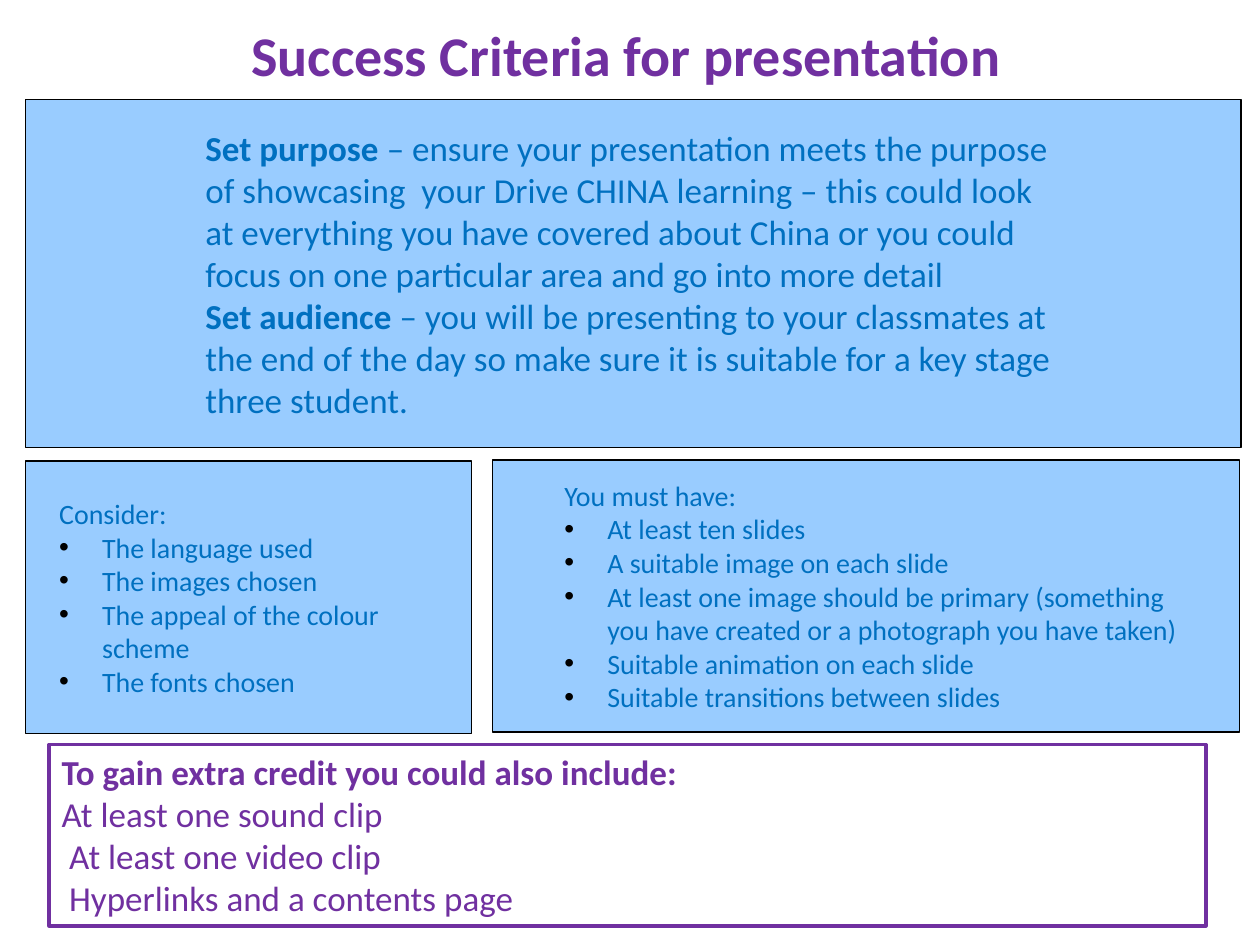
import pptx
import pptx.dml.color
import pptx.enum.shapes
import pptx.enum.text
import pptx.oxml.ns
import pptx.util
from lxml import etree

Inches = pptx.util.Inches
PURPLE, BLUE, PALE_BLUE, BLACK = "7030A0", "0070C0", "99CCFF", "000000"
FONT = "Calibri"
BULLET_INDENT = 0.34

TITLE = "Success Criteria for presentation"
AIMS = [
    ("Set purpose ", "– ensure your presentation meets the purpose of showcasing  your "
     "Drive CHINA learning – this could look at everything you have covered about China "
     "or you could focus on one particular area and go into more detail"),
    ("Set audience ", "– you will be presenting to your classmates at the end of the day "
     "so make sure it is suitable for a key stage three student."),
]
# Each list: box (left, top, width, height), left inset, heading, items
LISTS = [
    ((0.2, 3.66, 3.54, 2.16), 0.27, "Consider:", [
        "The language used",
        "The images chosen",
        "The appeal of the colour scheme",
        "The fonts chosen",
    ]),
    ((3.91, 3.65, 5.93, 2.16), 0.57, "You must have:", [
        "At least ten slides",
        "A suitable image on each slide",
        "At least one image should be primary (something you have created "
        "or a photograph you have taken)",
        "Suitable animation on each slide",
        "Suitable transitions between slides",
    ]),
]
EXTRA_HEADING = "To gain extra credit you could also include:"
# Each line: left margin, text
EXTRAS = [
    (0, "At least one sound clip"),
    (0.06, "At least one video clip"),
    (0.06, "Hyperlinks and a contents page"),
]


def rgb(value):
    return pptx.dml.color.RGBColor.from_string(value)


def place(shape, box):
    shape.left, shape.top, shape.width, shape.height = map(Inches, box)


def style_box(shape, line, line_width, fill=None):
    if fill:
        shape.fill.solid()
        shape.fill.fore_color.rgb = rgb(fill)
    else:
        shape.fill.background()
    shape.line.color.rgb = rgb(line)
    shape.line.width = pptx.util.Pt(line_width)


def set_frame(shape, left=0.1, right=0.1, middle=True):
    frame = shape.text_frame
    frame.word_wrap = True
    frame.auto_size = pptx.enum.text.MSO_AUTO_SIZE.NONE
    anchor = pptx.enum.text.MSO_ANCHOR
    frame.vertical_anchor = anchor.MIDDLE if middle else anchor.TOP
    frame.margin_left, frame.margin_right = Inches(left), Inches(right)
    frame.margin_top = frame.margin_bottom = Inches(0.05)
    return frame


def add_paragraph(frame, first, size, color, bold=False, text="", margin=0, bullet=False):
    """Write the next paragraph; the first one reuses the paragraph already there."""
    paragraph = frame.paragraphs[0] if first else frame.add_paragraph()
    properties = paragraph._p.get_or_add_pPr()
    properties.set("marL", str(Inches(margin)))
    properties.set("indent", str(-Inches(margin) if bullet else 0))
    qn = pptx.oxml.ns.qn
    if bullet:
        bullet_color = etree.SubElement(properties, qn("a:buClr"))
        etree.SubElement(bullet_color, qn("a:srgbClr"), val=BLACK)
        etree.SubElement(properties, qn("a:buFont"), typeface="Arial")
        etree.SubElement(properties, qn("a:buChar"), char="•")
    else:
        etree.SubElement(properties, qn("a:buNone"))
    paragraph.alignment = pptx.enum.text.PP_ALIGN.LEFT
    paragraph.space_before = pptx.util.Pt(0)
    paragraph.font.name = FONT
    paragraph.font.size = pptx.util.Pt(size)
    paragraph.font.bold = bold
    paragraph.font.color.rgb = rgb(color)
    if text:
        paragraph.add_run().text = text
    return paragraph


def add_rectangle(slide, box):
    kind = pptx.enum.shapes.MSO_SHAPE.RECTANGLE
    shape = slide.shapes.add_shape(kind, *map(Inches, box))
    shape.shadow.inherit = False
    return shape


def add_title(slide):
    title = slide.shapes.title
    place(title, (0.47, 0, 9, 0.86))
    frame = set_frame(title)
    paragraph = add_paragraph(frame, True, 32, PURPLE, True, TITLE)
    paragraph.alignment = pptx.enum.text.PP_ALIGN.CENTER


def add_aims(slide):
    shape = add_rectangle(slide, (0.2, 0.79, 9.65, 2.76))
    style_box(shape, BLACK, 0.75, PALE_BLUE)
    frame = set_frame(shape, left=1.43, right=1.47)
    for index, (lead, explanation) in enumerate(AIMS):
        paragraph = add_paragraph(frame, index == 0, 20, BLUE)
        lead_run = paragraph.add_run()
        lead_run.text = lead
        lead_run.font.bold = True
        paragraph.add_run().text = explanation


def add_list(shape, box, inset, heading, items):
    place(shape, box)
    style_box(shape, BLACK, 0.75, PALE_BLUE)
    frame = set_frame(shape, left=inset, right=0.5)
    add_paragraph(frame, True, 16, BLUE, text=heading)
    for item in items:
        add_paragraph(frame, False, 16, BLUE, text=item, margin=BULLET_INDENT, bullet=True)


def add_extras(slide):
    shape = add_rectangle(slide, (0.39, 5.91, 9.18, 1.44))
    style_box(shape, PURPLE, 2)
    frame = set_frame(shape, middle=False)
    add_paragraph(frame, True, 20, PURPLE, True, EXTRA_HEADING)
    for margin, text in EXTRAS:
        add_paragraph(frame, False, 20, PURPLE, text=text, margin=margin)


def main():
    presentation = pptx.Presentation()
    presentation.slide_width, presentation.slide_height = Inches(10), Inches(7.5)
    two_content_layout = presentation.slide_layouts[3]
    slide = presentation.slides.add_slide(two_content_layout)
    add_title(slide)
    add_aims(slide)
    for index, content in enumerate(LISTS, start=1):
        add_list(slide.placeholders[index], *content)
    add_extras(slide)
    presentation.save("out.pptx")


if __name__ == "__main__":
    main()
